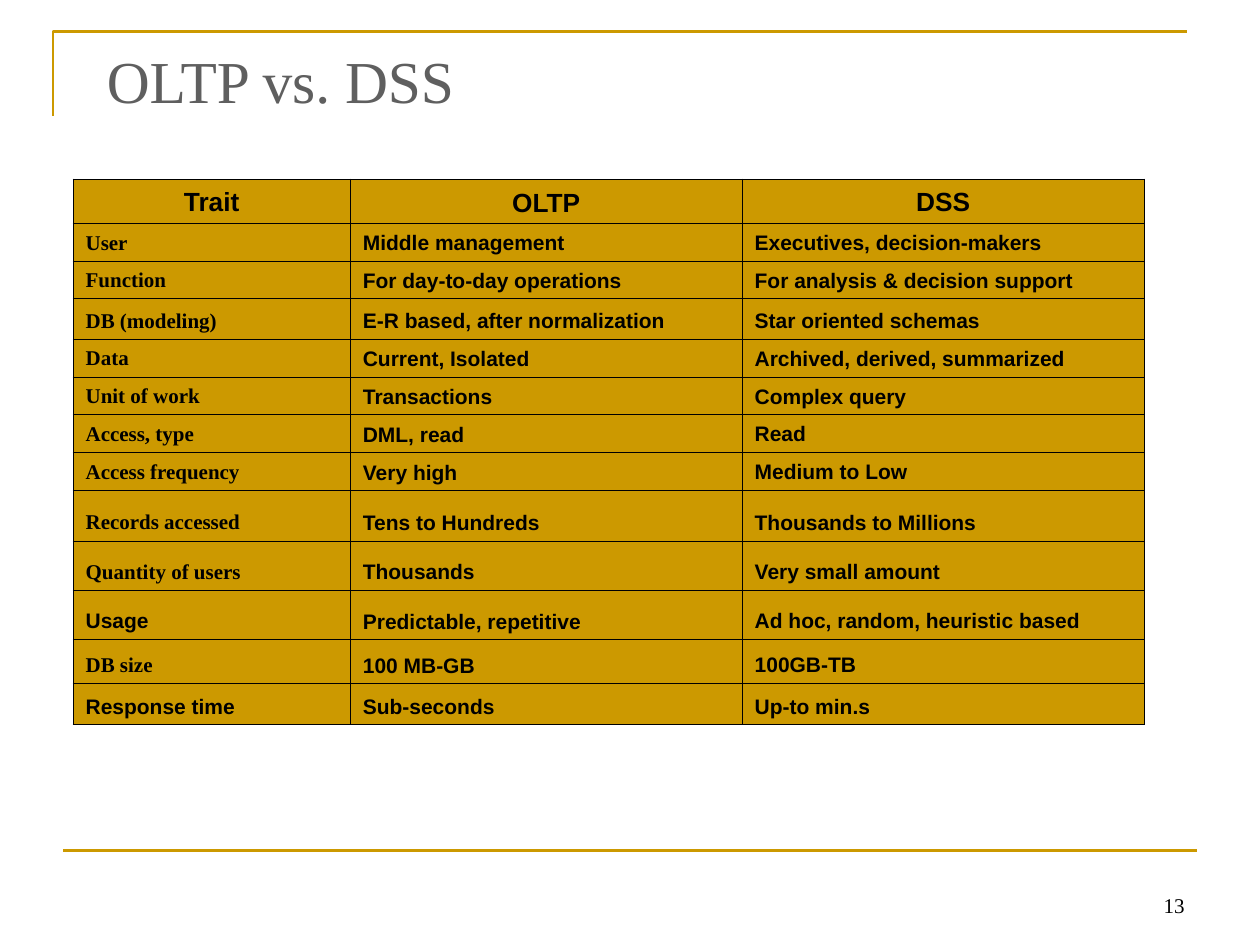
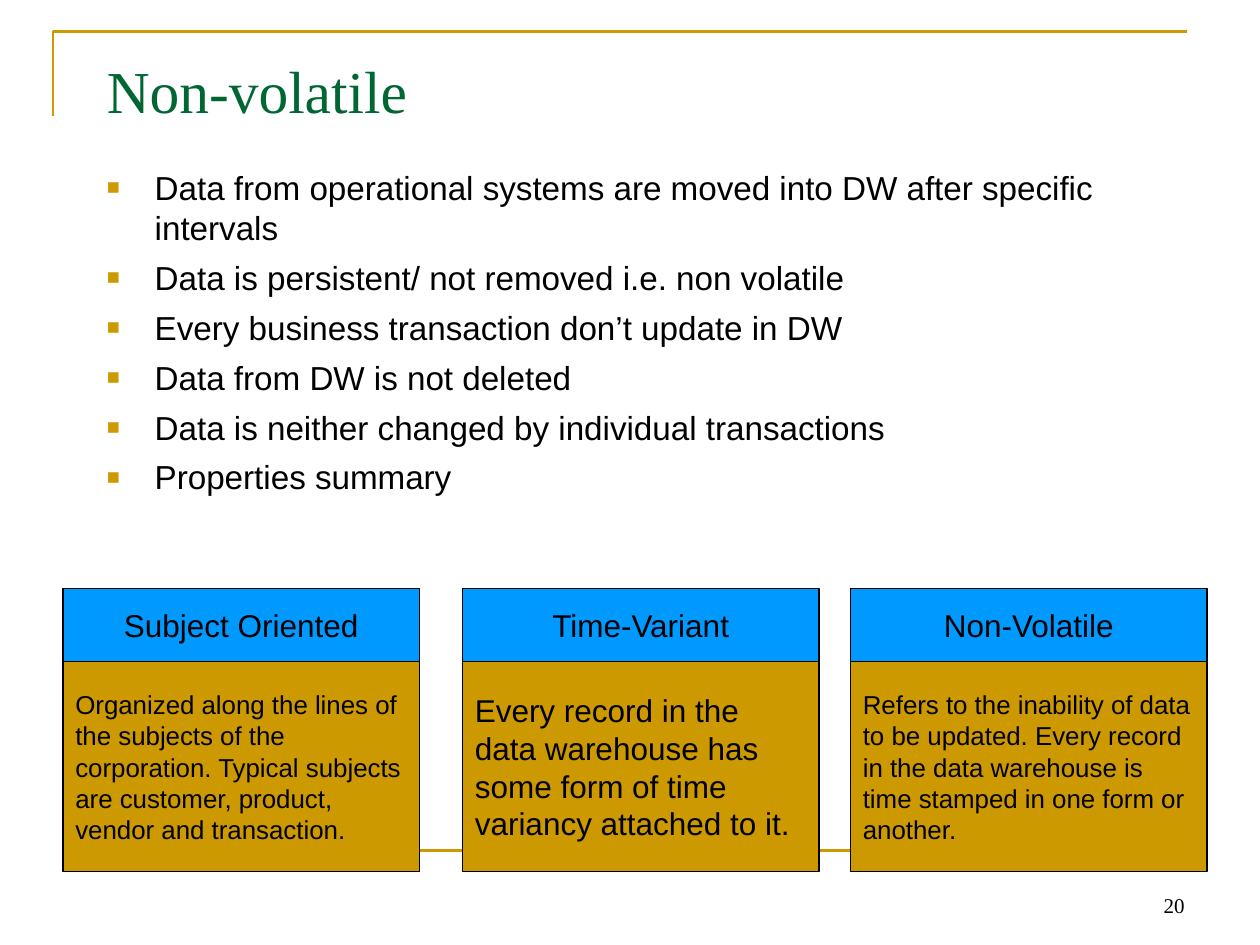
from lxml.etree import SubElement
from pptx import Presentation
from pptx.dml.color import RGBColor
from pptx.enum.shapes import MSO_CONNECTOR as Connector, MSO_SHAPE as Shape
from pptx.enum.text import MSO_ANCHOR as Anchor, PP_ALIGN as Align
from pptx.oxml.ns import qn
from pptx.util import Inches, Pt

GOLD = RGBColor(0xCC, 0x99, 0x00)
BLUE = RGBColor(0x00, 0x99, 0xFF)
GRAY = RGBColor(0x5F, 0x5F, 0x5F)
GREEN = RGBColor(0x00, 0x66, 0x33)
BLACK = RGBColor(0x00, 0x00, 0x00)
SANS = "Arial"
SERIF = "Times New Roman"

COLUMN_WIDTHS = [2.2, 3.11, 3.19]
ROW_HEIGHTS = [0.35, 0.3, 0.3, 0.32, 0.3, 0.3, 0.3, 0.3, 0.4, 0.39, 0.39, 0.35, 0.33]
TRAITS = [
    ("Trait", "OLTP", "DSS"),
    ("User", "Middle management", "Executives, decision-makers"),
    ("Function", "For day-to-day operations", "For analysis & decision support"),
    ("DB (modeling)", "E-R based, after normalization", "Star oriented schemas"),
    ("Data", "Current, Isolated", "Archived, derived, summarized"),
    ("Unit of work", "Transactions", "Complex query"),
    ("Access, type", "DML, read", "Read"),
    ("Access frequency", "Very high", "Medium to Low"),
    ("Records accessed", "Tens to Hundreds", "Thousands to Millions"),
    ("Quantity of users", "Thousands", "Very small amount"),
    ("Usage", "Predictable, repetitive", "Ad hoc, random, heuristic based"),
    ("DB size", "100 MB-GB", "100GB-TB"),
    ("Response time", "Sub-seconds", "Up-to min.s"),
]
SANS_TRAITS = {"Trait", "Usage", "Response time"}

POINTS = [
    "Data from operational systems are moved into DW after specific intervals",
    "Data is persistent/ not removed i.e. non volatile",
    "Every business transaction don’t update in DW",
    "Data from DW is not deleted",
    "Data is neither changed by individual transactions",
    "Properties summary",
]
PROPERTIES = [
    (0.5, "Subject Oriented", 14.8,
     "Organized along the lines of the subjects of the corporation. "
     "Typical subjects are customer, product, vendor and transaction."),
    (3.67, "Time-Variant", 18,
     "Every record in the data warehouse has some form of time variancy attached to it."),
    (6.75, "Non-Volatile", 14.8,
     "Refers to the inability of data to be updated. Every record in the data "
     "warehouse is time stamped in one form or another."),
]


def write(para, text, size=12, font=SANS, color=BLACK, bold=False,
          align=Align.LEFT, leading=None):
    para.alignment = align
    if leading:
        para.line_spacing = leading
    span = para.add_run()
    span.text = text
    span.font.size = Pt(size)
    span.font.name = font
    span.font.bold = bold
    span.font.color.rgb = color


def add_bullet(para):
    props = para._p.get_or_add_pPr()
    props.set("marL", str(Inches(0.38)))
    props.set("indent", str(-Inches(0.38)))
    color = SubElement(props, qn("a:buClr"))
    SubElement(color, qn("a:srgbClr"), val=str(GOLD))
    SubElement(props, qn("a:buSzPct"), val="65000")
    SubElement(props, qn("a:buFont"), typeface=SANS)
    SubElement(props, qn("a:buChar"), char="■")


def add_borders(cell):
    props = cell._tc.get_or_add_tcPr()
    for side in ("lnL", "lnR", "lnT", "lnB"):
        line = SubElement(props, qn(f"a:{side}"), w=str(Pt(0.45)))
        fill = SubElement(line, qn("a:solidFill"))
        SubElement(fill, qn("a:srgbClr"), val=str(BLACK))


class Deck:
    def __init__(self):
        self.show = Presentation()
        self.show.slide_width = Inches(10)
        self.show.slide_height = Inches(7.5)
        self.page = None

    def add_page(self, title, number, color, title_top):
        self.page = self.show.slides.add_slide(self.show.slide_layouts[6])
        self.corner()
        self.rule()
        frame = self.text_box(7.17, 6.83, 2.33, 0.5, anchor=Anchor.BOTTOM)
        write(frame.paragraphs[0], number, font=SERIF, align=Align.RIGHT)
        frame = self.text_box(0.75, title_top, 8.5, 1.25, inset=0.1)
        write(frame.paragraphs[0], title, size=34, font=SERIF, color=color)

    def corner(self):
        builder = self.page.shapes.build_freeform(Inches(0.42), Inches(0.92))
        builder.add_line_segments(
            [(Inches(0.42), Inches(0.25)), (Inches(9.42), Inches(0.25))], close=False)
        corner = builder.convert_to_shape()
        corner.shadow.inherit = False
        corner.fill.background()
        corner.line.color.rgb = GOLD
        corner.line.width = Pt(1.5)

    def rule(self):
        rule = self.page.shapes.add_connector(
            Connector.STRAIGHT, Inches(0.5), Inches(6.75), Inches(9.5), Inches(6.75))
        rule.line.color.rgb = GOLD
        rule.line.width = Pt(1.5)
        SubElement(rule._element.spPr, qn("a:effectLst"))

    def text_box(self, left, top, width, height, anchor=Anchor.TOP, inset=0.05):
        box = self.page.shapes.add_textbox(
            Inches(left), Inches(top), Inches(width), Inches(height))
        frame = box.text_frame
        frame.word_wrap = True
        frame.vertical_anchor = anchor
        frame.margin_top = Inches(inset)
        return frame

    def bullets(self, left, top, width, height, points):
        frame = self.text_box(left, top, width, height, inset=0.08)
        for index, point in enumerate(points):
            para = frame.add_paragraph() if index else frame.paragraphs[0]
            add_bullet(para)
            if index:
                para.space_before = Pt(5.7)
            write(para, point, size=19)

    def panel(self, left, top, width, height, text, fill, wrap=True, **style):
        box = self.page.shapes.add_shape(
            Shape.RECTANGLE, Inches(left), Inches(top), Inches(width), Inches(height))
        box.shadow.inherit = False
        box.fill.solid()
        box.fill.fore_color.rgb = fill
        box.line.color.rgb = BLACK
        box.line.width = Pt(0.75)
        frame = box.text_frame
        frame.word_wrap = wrap
        frame.vertical_anchor = Anchor.MIDDLE
        write(frame.paragraphs[0], text, **style)

    def table(self, left, top, widths, heights, rows):
        table = self.page.shapes.add_table(
            len(rows), len(widths), Inches(left), Inches(top),
            Inches(sum(widths)), Inches(sum(heights))).table
        for column, width in zip(table.columns, widths):
            column.width = Inches(width)
        for row, height in zip(table.rows, heights):
            row.height = Inches(height)
        for r, texts in enumerate(rows):
            for c, text in enumerate(texts):
                cell = table.cell(r, c)
                add_borders(cell)
                cell.fill.solid()
                cell.fill.fore_color.rgb = GOLD
                cell.vertical_anchor = Anchor.BOTTOM
                write(cell.text_frame.paragraphs[0], text, bold=True,
                      size=12 if r else 15,
                      font=SANS if c or text in SANS_TRAITS else SERIF,
                      align=Align.LEFT if r else Align.CENTER,
                      leading=0.8 if c == 1 else None)


def main():
    deck = Deck()

    deck.add_page("OLTP vs. DSS", "13", GRAY, 0.25)
    deck.table(0.58, 1.42, COLUMN_WIDTHS, ROW_HEIGHTS, TRAITS)

    deck.add_page("Non-volatile", "20", GREEN, 0.33)
    deck.bullets(0.75, 1.25, 8.5, 5, POINTS)
    for left, name, size, meaning in PROPERTIES:
        deck.panel(left, 4.67, 2.83, 0.58, name, BLUE, wrap=False,
                   size=18, align=Align.CENTER)
        deck.panel(left, 5.25, 2.83, 1.67, meaning, GOLD, size=size)

    deck.show.save("out.pptx")


if __name__ == "__main__":
    main()
